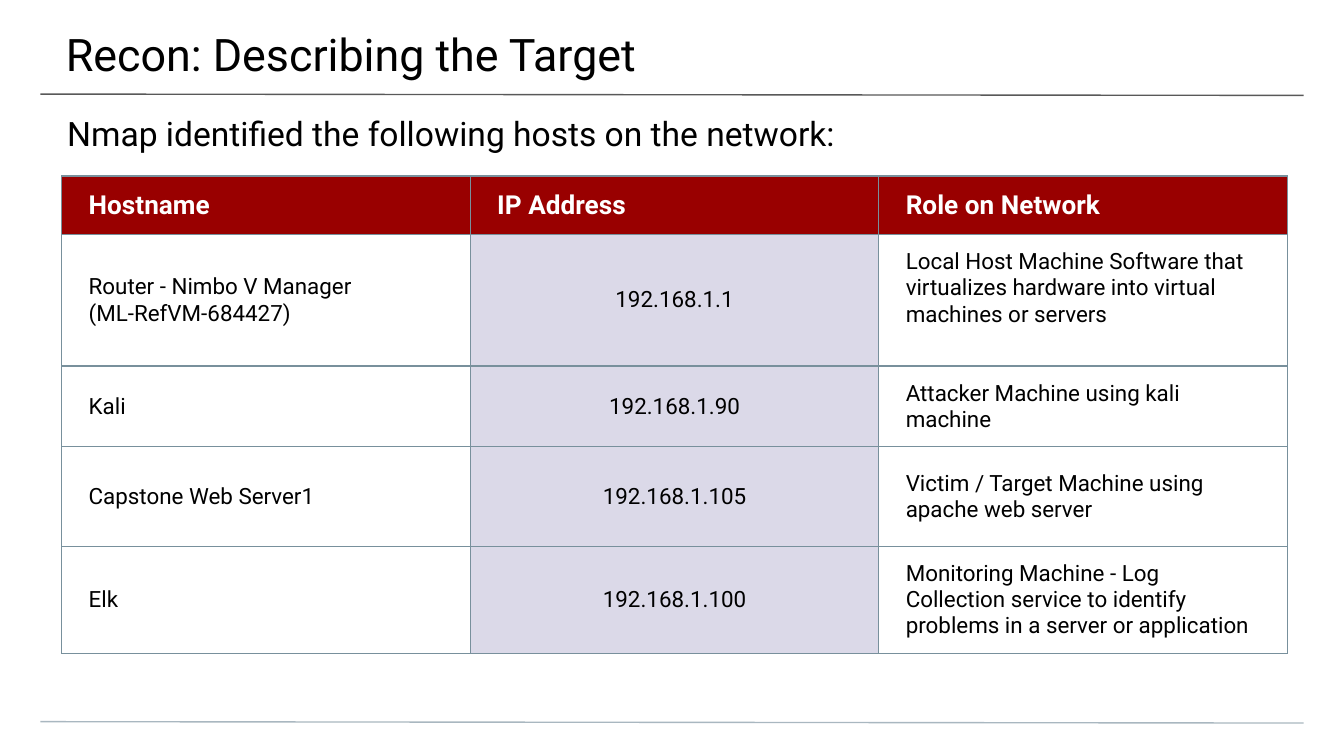
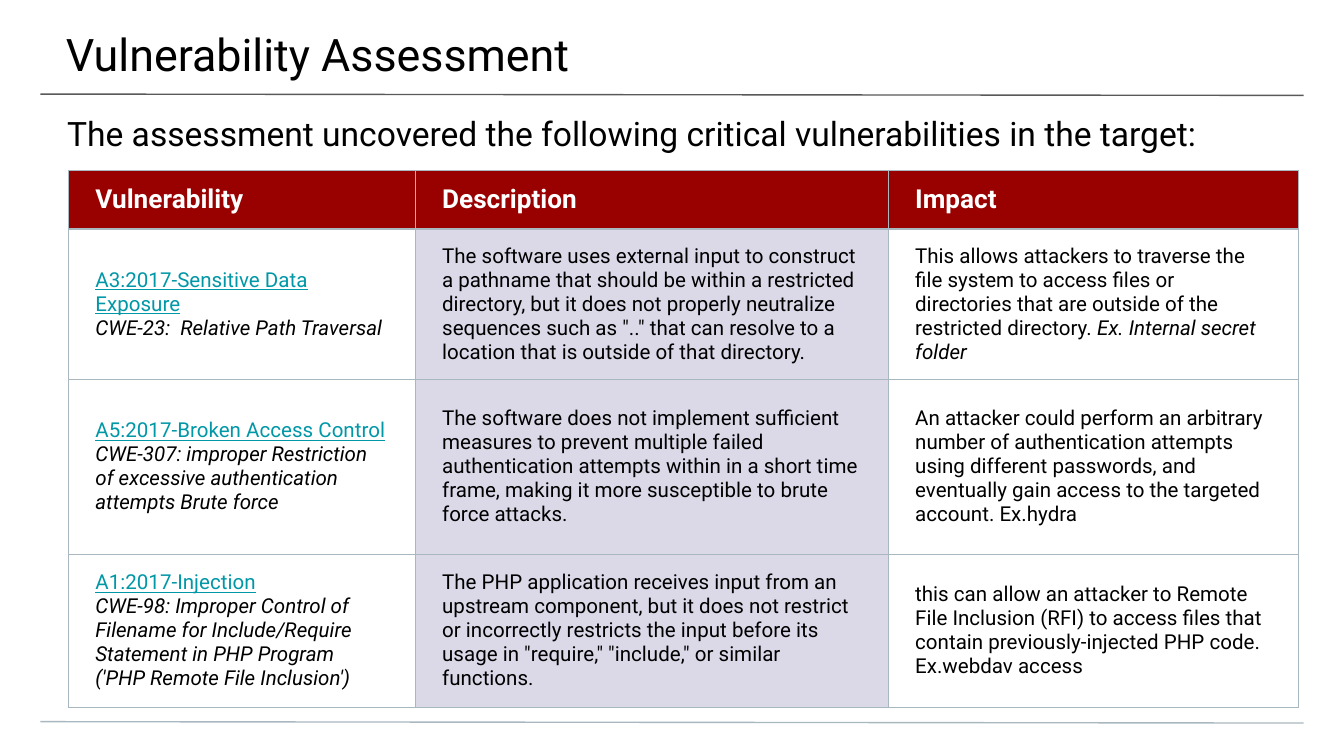
from dataclasses import dataclass
from typing import NamedTuple

from lxml.etree import SubElement
from pptx import Presentation
from pptx.dml.color import RGBColor
from pptx.enum.shapes import MSO_CONNECTOR as Connector
from pptx.enum.text import MSO_ANCHOR as Anchor, PP_ALIGN as Align
from pptx.oxml.ns import qn
from pptx.util import Inches, Pt

FONT = "Roboto"
COLORS = {
    "text": "000000",
    "header_text": "FFFFFF",
    "header_fill": "990000",
    "middle_fill": "DBD9E8",
    "link": "0097A7",
    "title_rule": "595959",
    "footer_rule": "A9B7C0",
    "host_border": "78909C",
}


class Run(NamedTuple):
    text: str
    color: str = "text"
    italic: bool = False
    underline: bool = False


class Cell(NamedTuple):
    paragraphs: list[list[Run]]
    bottom: float = 0.1


class Rule(NamedTuple):
    top: float
    color: str


class Heading(NamedTuple):
    top: float
    height: float
    size: int
    insets: tuple[float, float, float, float]
    left: float = 0
    width: float = 10


@dataclass
class TableSpec:
    left: float
    top: float
    widths: list[float]
    heights: list[float]
    headers: list[str]
    rows: list[list[Cell]]
    size: int
    border: str
    middle_align: Align


@dataclass
class SlideSpec:
    title: str
    subtitle: str
    table: TableSpec


RULES = [Rule(0.7, "title_rule"), Rule(5.37, "footer_rule")]
TITLE = Heading(0, 0.58, 24, (0.5, 0.2, 0.3, 0.1), -0.01, 10.03)
SUBTITLE = Heading(0.74, 0.4, 18, (0.5, 0.1, 0.5, 0))


def rgb(name: str) -> RGBColor:
    return RGBColor.from_string(COLORS[name])


def plain(*lines: str, bottom: float = 0.1) -> Cell:
    return Cell([[Run(line)] for line in lines], bottom)


def weakness(link: str, detail: str) -> Cell:
    return Cell([[Run(link, "link", underline=True)], [Run(detail, italic=True)]])


def set_insets(target, left: float, top: float, right: float, bottom: float) -> None:
    target.margin_left, target.margin_top = Inches(left), Inches(top)
    target.margin_right, target.margin_bottom = Inches(right), Inches(bottom)


def set_font(font, size: int, color: str, bold: bool = False) -> None:
    font.name, font.size, font.bold = FONT, Pt(size), bold
    font.color.rgb = rgb(color)


def add_rule(slide, rule: Rule) -> None:
    connector = slide.shapes.add_connector(
        Connector.STRAIGHT,
        Inches(0.3), Inches(rule.top), Inches(9.7), Inches(rule.top + 0.01),
    )
    connector.line.color.rgb = rgb(rule.color)
    connector.line.width = Pt(0.75)
    SubElement(connector._element.spPr, qn("a:effectLst"))


def add_heading(slide, text: str, heading: Heading) -> None:
    box = slide.shapes.add_textbox(
        Inches(heading.left), Inches(heading.top),
        Inches(heading.width), Inches(heading.height),
    )
    frame = box.text_frame
    frame.word_wrap = True
    set_insets(frame, *heading.insets)
    paragraph = frame.paragraphs[0]
    paragraph.text = text
    set_font(paragraph.font, heading.size, "text")


def set_borders(cell, color: str) -> None:
    properties = cell._tc.get_or_add_tcPr()
    for side in ("lnL", "lnR", "lnT", "lnB"):
        line = SubElement(properties, qn(f"a:{side}"), w=str(Pt(0.75)))
        fill = SubElement(line, qn("a:solidFill"))
        SubElement(fill, qn("a:srgbClr"), val=COLORS[color])


def fill_cell(cell, content: Cell, size: int, border: str, fill: str | None,
              align: Align, bold: bool) -> None:
    set_borders(cell, border)
    if fill:
        cell.fill.solid()
        cell.fill.fore_color.rgb = rgb(fill)
    else:
        cell.fill.background()
    cell.vertical_anchor = Anchor.MIDDLE
    set_insets(cell, 0.2, 0.1, 0.2, content.bottom)
    frame = cell.text_frame
    for index, runs in enumerate(content.paragraphs):
        paragraph = frame.add_paragraph() if index else frame.paragraphs[0]
        paragraph.alignment = align
        set_font(paragraph.font, size, runs[0].color, bold)
        for item in runs:
            run = paragraph.add_run()
            run.text = item.text
            set_font(run.font, size, item.color, bold)
            run.font.italic = item.italic
            run.font.underline = item.underline


def add_table(slide, spec: TableSpec) -> None:
    table = slide.shapes.add_table(
        len(spec.heights), len(spec.widths),
        Inches(spec.left), Inches(spec.top),
        Inches(sum(spec.widths)), Inches(sum(spec.heights)),
    ).table
    table.first_row = table.horz_banding = False
    for column, width in zip(table.columns, spec.widths):
        column.width = Inches(width)
    for row, height in zip(table.rows, spec.heights):
        row.height = Inches(height)
    for column, header in enumerate(spec.headers):
        content = Cell([[Run(header, "header_text")]])
        fill_cell(table.cell(0, column), content, 14, spec.border,
                  "header_fill", Align.LEFT, True)
    for row, contents in enumerate(spec.rows, 1):
        for column, content in enumerate(contents):
            middle = column == 1
            fill_cell(table.cell(row, column), content, spec.size, spec.border,
                      "middle_fill" if middle else None,
                      spec.middle_align if middle else Align.LEFT, False)


def add_slide(presentation, spec: SlideSpec) -> None:
    slide = presentation.slides.add_slide(presentation.slide_layouts[6])
    for rule in RULES:
        add_rule(slide, rule)
    add_heading(slide, spec.title, TITLE)
    add_heading(slide, spec.subtitle, SUBTITLE)
    add_table(slide, spec.table)


HOSTS = TableSpec(
    left=0.46, top=1.31, widths=[3.04] * 3, heights=[0.38, 0.75, 0.6, 0.74, 0.74],
    headers=["Hostname", "IP Address", "Role on Network"],
    rows=[
        [plain("Router - Nimbo V Manager", "(ML-RefVM-684427)"),
         plain("192.168.1.1"),
         plain("Local Host Machine Software that virtualizes hardware into "
               "virtual machines or servers", bottom=0.28)],
        [plain("Kali"), plain("192.168.1.90"),
         plain("Attacker Machine using kali machine")],
        [plain("Capstone Web Server1"), plain("192.168.1.105"),
         plain("Victim / Target Machine using apache web server")],
        [plain("Elk"), plain("192.168.1.100"),
         plain("Monitoring Machine - Log Collection service to identify "
               "problems in a server or application")],
    ],
    size=12, border="host_border", middle_align=Align.CENTER,
)

VULNERABILITIES = TableSpec(
    left=0.51, top=1.27, widths=[2.58, 3.52, 3.05], heights=[0.42, 1.12, 1.3, 1.14],
    headers=["Vulnerability", "Description", "Impact"],
    rows=[
        [weakness("A3:2017-Sensitive Data Exposure",
                  "CWE-23:  Relative Path Traversal"),
         plain("The software uses external input to construct a pathname that "
               "should be within a restricted directory, but it does not properly "
               'neutralize sequences such as ".." that can resolve to a location '
               "that is outside of that directory."),
         Cell([[Run("This allows attackers to traverse the file system to access "
                    "files or directories that are outside of the restricted "
                    "directory."),
                Run(" Ex. Internal secret folder", italic=True)]])],
        [weakness("A5:2017-Broken Access Control",
                  "CWE-307: improper Restriction of excessive authentication "
                  "attempts Brute force"),
         plain("The software does not implement sufficient measures to prevent "
               "multiple failed authentication attempts within in a short time "
               "frame, making it more susceptible to brute force attacks."),
         plain("An attacker could perform an arbitrary number of authentication "
               "attempts using different passwords, and eventually gain access to "
               "the targeted account. Ex.hydra")],
        [weakness("A1:2017-Injection",
                  "CWE-98: Improper Control of Filename for Include/Require "
                  "Statement in PHP Program ('PHP Remote File Inclusion')"),
         plain("The PHP application receives input from an upstream component, but "
               "it does not restrict or incorrectly restricts the input before its "
               'usage in "require," "include," or similar functions.'),
         plain("this can allow an attacker to Remote File Inclusion (RFI) to access "
               "files that contain previously-injected PHP code. Ex.webdav access")],
    ],
    size=11, border="footer_rule", middle_align=Align.LEFT,
)

SLIDES = [
    SlideSpec("Recon: Describing the Target",
              "Nmap identified the following hosts on the network:", HOSTS),
    SlideSpec("Vulnerability Assessment",
              "The assessment uncovered the following critical vulnerabilities "
              "in the target:", VULNERABILITIES),
]


def main() -> None:
    presentation = Presentation()
    presentation.slide_width = Inches(10)
    presentation.slide_height = Inches(10 * 9 / 16)
    for spec in SLIDES:
        add_slide(presentation, spec)
    presentation.save("out.pptx")


if __name__ == "__main__":
    main()
